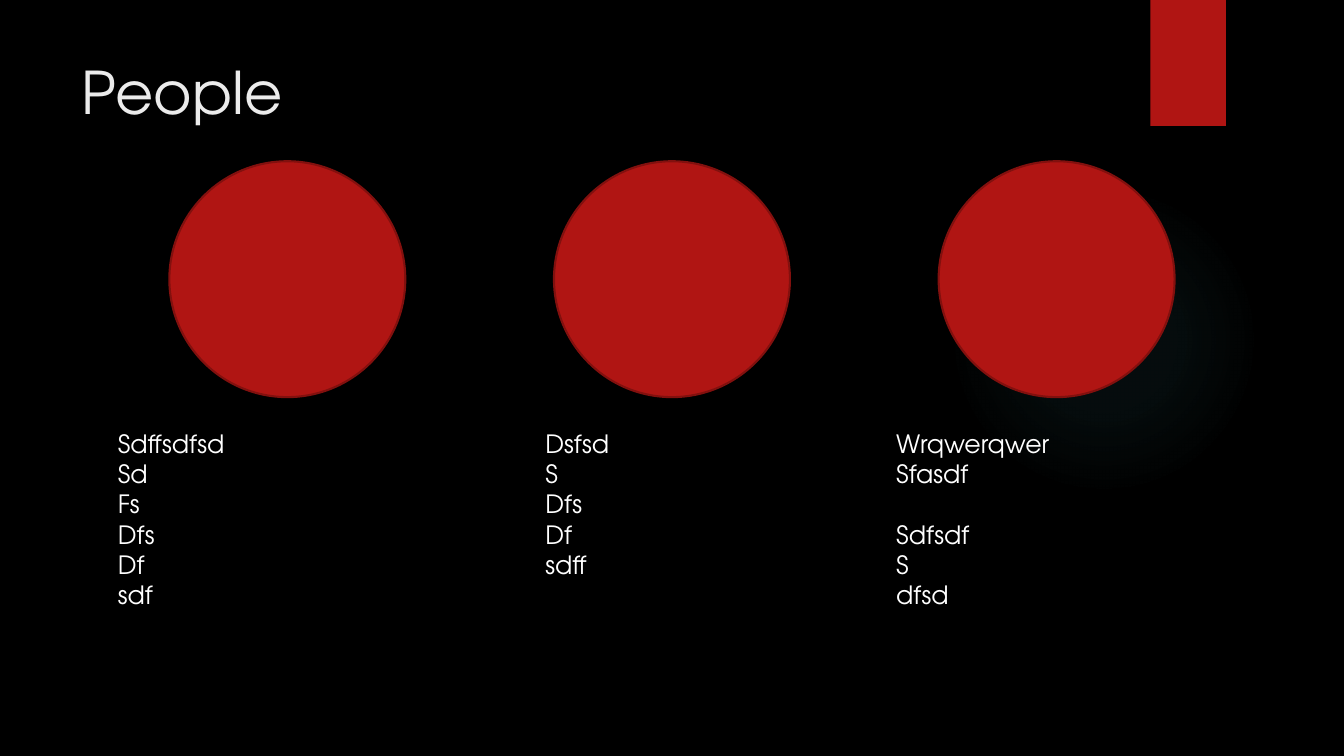
from lxml import etree
from pptx import Presentation
from pptx.dml.color import RGBColor
from pptx.enum.shapes import MSO_SHAPE
from pptx.enum.text import MSO_ANCHOR
from pptx.oxml import parse_xml
from pptx.util import Inches, Pt

OVAL, RECTANGLE = MSO_SHAPE.OVAL, MSO_SHAPE.RECTANGLE
TOP = MSO_ANCHOR.TOP
DRAWING = "http://schemas.openxmlformats.org/drawingml/2006/main"

# Content: column left edge, lines, and the line that opens a new group
TITLE = "People"
COLUMNS = [
    (1.07, ["Sdffsdfsd", "Sd", "Fs", "Dfs", "Df", "sdf"], None),
    (5.31, ["Dsfsd", "S", "Dfs", "Df", "sdff"], None),
    (8.79, ["Wrqwerqwer", "Sfasdf", "Sdfsdf", "S", "dfsd"], 2),
]

# Style
FONT = "TeX Gyre Adventor"
BLACK, RED, DARK_RED = "000000", "B01513", "82100E"
WHITE, PALE, TEAL = "FFFFFF", "EBEBEB", "50B9C1"
GLOW_STOPS = [(0, 7), (36, 6), (69, 0), (100, 0)]  # position %, opacity %

# Layout in inches
WIDTH, HEIGHT = 13.33, 7.5
CIRCLE, CIRCLE_TOP, CIRCLE_PITCH = 2.34, 1.6, 3.815
LIST_TOP, LIST_WIDTH, LINE_HEIGHT, MARGINS = 4.2, 3.48, 0.3, 0.1


def color(value):
    return RGBColor.from_string(value)


def add_figure(kind, left, top, width, height, fill, line=None):
    figure = page.shapes.add_shape(
        kind, Inches(left), Inches(top), Inches(width), Inches(height))
    figure.shadow.inherit = False
    figure.fill.solid()
    figure.fill.fore_color.rgb = color(fill)
    if line:
        figure.line.color.rgb = color(line)
        figure.line.width = Pt(1.5)
    else:
        figure.line.fill.background()
    return figure


def add_text(lines, left, top, width, height, size, ink):
    box = page.shapes.add_textbox(
        Inches(left), Inches(top), Inches(width), Inches(height))
    frame = box.text_frame
    frame.word_wrap = True
    frame.vertical_anchor = TOP
    frame.text = "\n".join(lines)
    for para in frame.paragraphs:
        for span in para.runs:
            span.font.name = FONT
            span.font.size = Pt(size)
            span.font.color.rgb = color(ink)
    return frame


def make_glow(figure):
    """Replace the solid fill by a radial fade."""
    stops = "".join(
        f'<a:gs pos="{place * 1000}"><a:srgbClr val="{TEAL}">'
        f'<a:alpha val="{opacity * 1000}"/></a:srgbClr></a:gs>'
        for place, opacity in GLOW_STOPS)
    fade = parse_xml(
        f'<a:gradFill xmlns:a="{DRAWING}"><a:gsLst>{stops}</a:gsLst>'
        '<a:path path="circle"><a:fillToRect l="50000" t="50000" '
        'r="50000" b="50000"/></a:path></a:gradFill>')
    solid = figure.element.spPr.find(etree.QName(DRAWING, "solidFill").text)
    solid.getparent().replace(solid, fade)


deck = Presentation()
deck.slide_width, deck.slide_height = Inches(WIDTH), Inches(HEIGHT)
page = deck.slides.add_slide(deck.slide_layouts[6])
page.background.fill.solid()
page.background.fill.fore_color.rgb = color(BLACK)

# Backdrop and title
make_glow(add_figure(OVAL, 9.41, 1.83, 3.08, 3.08, TEAL))
add_figure(RECTANGLE, 11.41, 0, 0.75, 1.25, RED)
add_text([TITLE], 0.71, 0.5, 10.29, 1.53, 42, PALE)

# Circles, spread evenly about the centre of the slide
for index in range(len(COLUMNS)):
    center = WIDTH / 2 + (index - 1) * CIRCLE_PITCH
    add_figure(OVAL, center - CIRCLE / 2, CIRCLE_TOP, CIRCLE, CIRCLE,
               RED, DARK_RED)

# Lists under the circles
for left, lines, group_start in COLUMNS:
    rows = len(lines) + (group_start is not None)
    frame = add_text(lines, left, LIST_TOP, LIST_WIDTH,
                     rows * LINE_HEIGHT + MARGINS, 18, WHITE)
    if group_start is not None:
        frame.paragraphs[group_start].space_before = Inches(LINE_HEIGHT)

deck.save("out.pptx")
